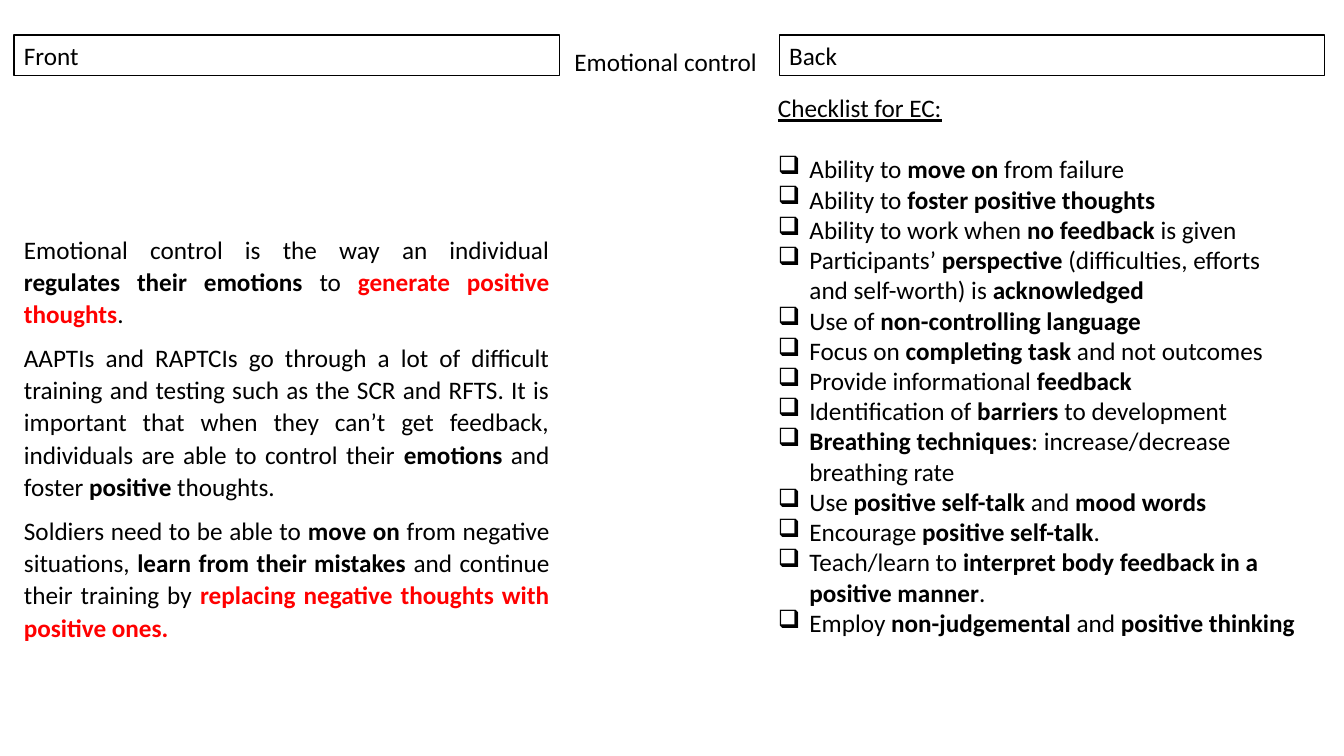
"""Builds the two-sided revision card on emotional control."""
from dataclasses import dataclass

import pptx
import pptx.dml.color
import pptx.enum.shapes
import pptx.enum.text
import pptx.oxml
import pptx.util

Pt = pptx.util.Pt
Align = pptx.enum.text.PP_ALIGN
Anchor = pptx.enum.text.MSO_ANCHOR


@dataclass(frozen=True)
class Theme:
    """Colours and type of the card."""
    font: str = "Calibri"
    size: float = 18
    ink: str = "000000"
    accent: str = "FF0000"
    rule: float = 0.75
    indent: float = 22.5
    bullet: str = "❑"


class Card:
    """Draws elements on one slide in one style."""

    def __init__(self, s, theme):
        """Keep the slide and its theme."""
        self.s, self.theme = s, theme

    def color(self, value):
        """Return a colour object for a hex value."""
        return pptx.dml.color.RGBColor.from_string(value)

    def add_runs(self, p, text, underline=False):
        """Add runs, where *words* are bold and *!words* are bold accent."""
        for i, part in enumerate(text.split("*")):
            if not part:
                continue
            r = p.add_run()
            r.text = part.removeprefix("!")
            r.font.name, r.font.size = self.theme.font, Pt(self.theme.size)
            r.font.bold, r.font.underline = i % 2 == 1, underline
            accent = part.startswith("!")
            r.font.color.rgb = self.color(self.theme.accent if accent else self.theme.ink)

    def bullet(self, p):
        """Give a paragraph a hanging checkbox."""
        pPr = p._p.get_or_add_pPr()
        indent = Pt(self.theme.indent)
        pPr.set("marL", str(int(indent)))
        pPr.set("indent", str(-int(indent)))
        ns = "http://schemas.openxmlformats.org/drawingml/2006/main"
        pPr.append(pptx.oxml.parse_xml(
            f'<a:buChar xmlns:a="{ns}" char="{self.theme.bullet}"/>'))

    def text_box(self, x, y, w, h, anchor=Anchor.TOP):
        """Add a wrapping text box and return its frame."""
        tf = self.s.shapes.add_textbox(Pt(x), Pt(y), Pt(w), Pt(h)).text_frame
        tf.word_wrap = True
        tf.vertical_anchor = anchor
        return tf

    def title(self, x, y, w, h, text):
        """Add the card title."""
        p = self.text_box(x, y, w, h, Anchor.BOTTOM).paragraphs[0]
        p.line_spacing = 0.9
        self.add_runs(p, text)

    def side_label(self, x, y, w, h, text):
        """Add an outlined label for one side of the card."""
        kind = pptx.enum.shapes.MSO_SHAPE.RECTANGLE
        sp = self.s.shapes.add_shape(kind, Pt(x), Pt(y), Pt(w), Pt(h))
        sp.shadow.inherit = False
        sp.fill.background()
        sp.line.color.rgb = self.color(self.theme.ink)
        sp.line.width = Pt(self.theme.rule)
        tf = sp.text_frame
        tf.word_wrap = True
        tf.vertical_anchor = Anchor.TOP
        p = tf.paragraphs[0]
        p.alignment = Align.LEFT
        self.add_runs(p, text)

    def prose(self, x, y, w, h, texts):
        """Add justified paragraphs."""
        tf = self.text_box(x, y, w, h)
        for i, text in enumerate(texts):
            p = tf.add_paragraph() if i else tf.paragraphs[0]
            p.alignment = Align.JUSTIFY
            p.line_spacing, p.space_after = 1.07, Pt(8)
            self.add_runs(p, text)

    def checklist(self, x, y, w, h, heading, items):
        """Add an underlined heading above checkbox items."""
        tf = self.text_box(x, y, w, h)
        p = tf.paragraphs[0]
        p.space_after = Pt(22)
        self.add_runs(p, heading, underline=True)
        for item in items:
            p = tf.add_paragraph()
            self.bullet(p)
            self.add_runs(p, item)


FRONT = [
    "Emotional control is the way an individual *regulates their emotions* to "
    "*!generate positive thoughts*.",
    "AAPTIs and RAPTCIs go through a lot of difficult training and testing such as "
    "the SCR and RFTS. It is important that when they can’t get feedback, individuals "
    "are able to control their *emotions* and foster *positive* thoughts.",
    "Soldiers need to be able to *move on* from negative situations, "
    "*learn from their mistakes* and continue their training by "
    "*!replacing negative thoughts with positive ones.*",
]
CHECKS = [
    "Ability to *move on* from failure",
    "Ability to *foster positive thoughts*",
    "Ability to work when *no feedback* is given",
    "Participants’ *perspective* (difficulties, efforts and self-worth) is *acknowledged*",
    "Use of *non-controlling language*",
    "Focus on *completing task* and not outcomes",
    "Provide informational *feedback*",
    "Identification of *barriers* to development",
    "*Breathing techniques*: increase/decrease breathing rate",
    "Use *positive self-talk* and *mood words*",
    "Encourage *positive self-talk*.",
    "Teach/learn to *interpret body feedback in a positive manner*.",
    "Employ *non-judgemental* and *positive thinking*",
]


def main():
    """Build and save the card."""
    prs = pptx.Presentation()
    prs.slide_width, prs.slide_height = Pt(960), Pt(540)
    card = Card(prs.slides.add_slide(prs.slide_layouts[6]), Theme())
    left, width = 10, 389.5
    card.title(403.2, 6.5, 156.2, 51.8, "Emotional control")
    for x, label in ((left, "Front"), (556.6, "Back")):
        card.side_label(x, 25, width, 29, label)
    card.prose(left, 162, width, 302.4, FRONT)
    card.checklist(548.6, 62.6, width, 399.6, "Checklist for EC:", CHECKS)
    prs.save("out.pptx")


if __name__ == "__main__":
    main()
